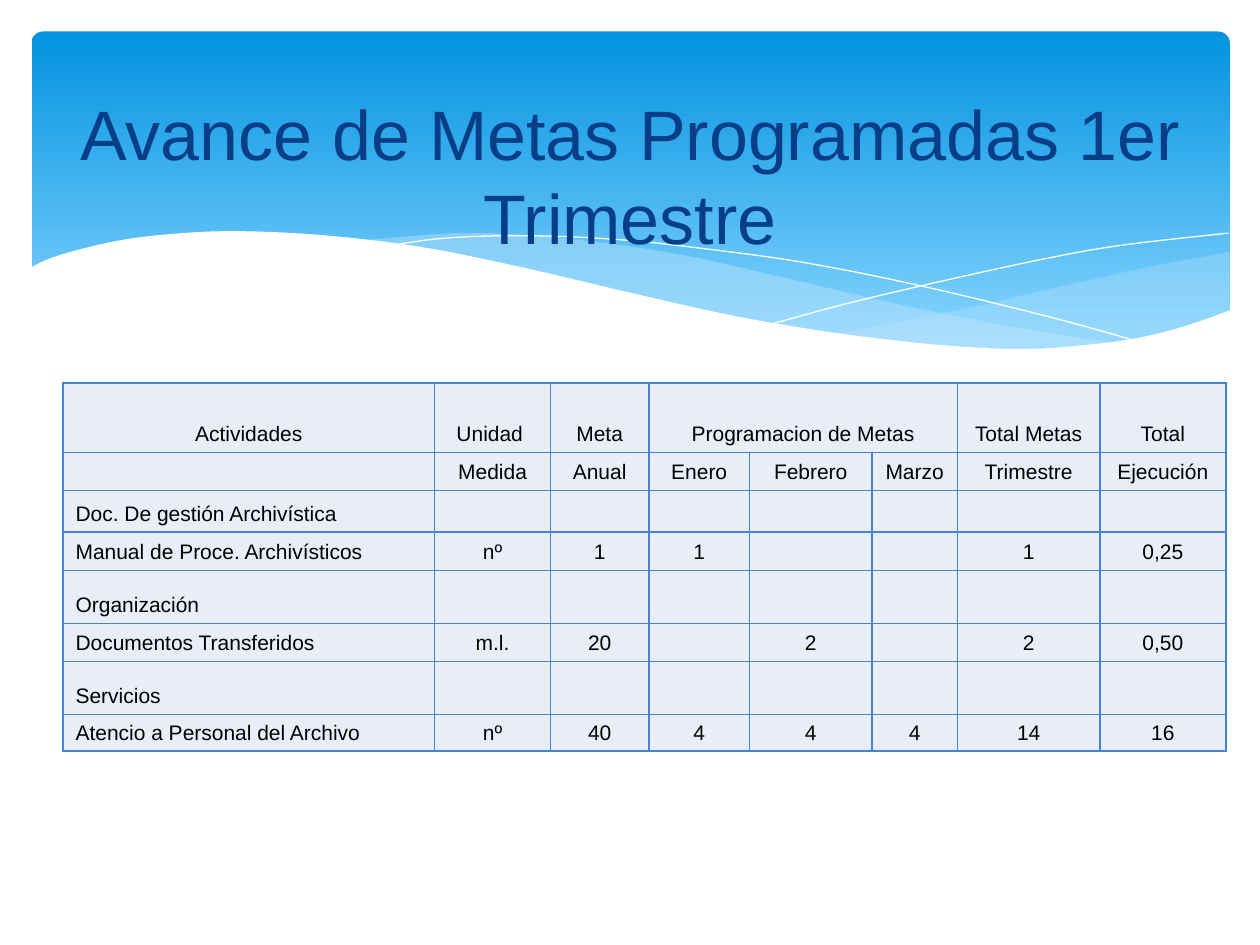
import pptx
import pptx.dml.color
import pptx.enum.shapes
import pptx.enum.text
import pptx.oxml
import pptx.oxml.ns
import pptx.util
import lxml.etree
from dataclasses import dataclass

qn = pptx.oxml.ns.qn
ALIGN = pptx.enum.text.PP_ALIGN
ANCHOR = pptx.enum.text.MSO_ANCHOR


@dataclass(frozen=True)
class Theme:
    font: str = "Arial"
    title_size: int = 40
    table_size: int = 12
    title: str = "073E87"
    text: str = "000000"
    sky_top: str = "0293E0"
    sky_bottom: str = "83D3FE"
    wave: str = "C6E7FC"
    white: str = "FFFFFF"
    cell: str = "E9EDF7"
    border: str = "4584D3"


def inch(value):
    return pptx.util.Cm(2.54 * value)


def rgb(value):
    return pptx.dml.color.RGBColor.from_string(value)


def smooth(knots, steps=6):
    """Sample a Catmull-Rom curve through the knots."""
    padded = [knots[0], *knots, knots[-1]]
    points = [knots[0]]
    for a, b, c, d in zip(padded, padded[1:], padded[2:], padded[3:]):
        for t in (step / steps for step in range(1, steps + 1)):
            points.append(tuple(
                q + t * (r - p) / 2 + t * t * (2 * p - 5 * q + 4 * r - s) / 2
                + t ** 3 * (3 * q - p - 3 * r + s) / 2
                for p, q, r, s in zip(a, b, c, d)))
    return points


class SlideBuilder:
    def __init__(self, slide, theme):
        self.slide, self.theme = slide, theme

    def banner(self, left, top, width, height, rounding):
        shape = self.slide.shapes.add_shape(
            pptx.enum.shapes.MSO_SHAPE.ROUNDED_RECTANGLE,
            *map(inch, (left, top, width, height)))
        shape.adjustments[0] = rounding
        shape.shadow.inherit = False
        shape.line.fill.background()
        shape.fill.gradient()
        shape.fill.gradient_angle = 270
        colours = (self.theme.sky_top, self.theme.sky_bottom)
        for stop, colour, position in zip(shape.fill.gradient_stops, colours, (0, 0.9)):
            stop.color.rgb = rgb(colour)
            stop.position = position

    def outline(self, points, fill=None, opacity=100, line=None):
        first, *rest = [(inch(x), inch(y)) for x, y in points]
        builder = self.slide.shapes.build_freeform(*first, scale=1.0)
        builder.add_line_segments(rest, close=fill is not None)
        shape = builder.convert_to_shape()
        shape.shadow.inherit = False
        if fill:
            shape.fill.solid()
            shape.fill.fore_color.rgb = rgb(fill)
            colour = shape._element.spPr.find(".//" + qn("a:srgbClr"))
            lxml.etree.SubElement(colour, qn("a:alpha"), val=str(opacity * 1000))
        else:
            shape.fill.background()
        if line:
            shape.line.color.rgb = rgb(line)
            shape.line.width = pptx.util.Pt(0)
        else:
            shape.line.fill.background()

    def style(self, paragraph, size, colour, align):
        paragraph.alignment = align
        for run in paragraph.runs:
            run.font.name = self.theme.font
            run.font.size = pptx.util.Pt(size)
            run.font.color.rgb = rgb(colour)

    def heading(self, text, left, top, width, height):
        frame = self.slide.shapes.add_textbox(
            *map(inch, (left, top, width, height))).text_frame
        frame.word_wrap = True
        frame.vertical_anchor = ANCHOR.MIDDLE
        frame.text = text
        self.style(frame.paragraphs[0], self.theme.title_size, self.theme.title, ALIGN.CENTER)

    def cell(self, cell, text, align):
        cell.fill.solid()
        cell.fill.fore_color.rgb = rgb(self.theme.cell)
        cell.vertical_anchor = ANCHOR.BOTTOM
        cell.text_frame.text = text
        paragraph = cell.text_frame.paragraphs[0]
        self.style(paragraph, self.theme.table_size, self.theme.text, align)
        # Hanging indent, and the type size that empty cells keep
        properties = paragraph._p.get_or_add_pPr()
        properties.set("marL", str(inch(0.38)))
        properties.set("indent", str(-inch(0.38)))
        lxml.etree.SubElement(paragraph._p, qn("a:endParaRPr"),
                              sz=str(self.theme.table_size * 100))
        # Borders come before the fill in the cell properties
        for index, side in enumerate("LRTB"):
            border = lxml.etree.Element(qn("a:ln" + side), w=str(pptx.util.Pt(1)))
            solid = lxml.etree.SubElement(border, qn("a:solidFill"))
            lxml.etree.SubElement(solid, qn("a:srgbClr"), val=self.theme.border)
            cell._tc.get_or_add_tcPr().insert(index, border)

    def table(self, rows, left, top, widths, heights, merges):
        table = self.slide.shapes.add_table(
            len(heights), len(widths),
            *map(inch, (left, top, sum(widths), sum(heights)))).table
        for column, width in zip(table.columns, widths):
            column.width = inch(width)
        for row, height in zip(table.rows, heights):
            row.height = inch(height)
        for r, texts in enumerate(rows):
            for c, text in enumerate(texts):
                is_label = c == 0 and r > 1
                self.cell(table.cell(r, c), text, ALIGN.LEFT if is_label else ALIGN.CENTER)
        for start, end in merges:
            table.cell(*start).merge(table.cell(*end))


theme = Theme()
deck = pptx.Presentation()
deck.slide_width, deck.slide_height = inch(10), inch(7.5)
page = SlideBuilder(deck.slides.add_slide(deck.slide_layouts[6]), theme)

# Sky banner
page.banner(0.25, 0.25, 9.51, 2.7, 0.034)

# Translucent waves
right_wave = smooth([(9.76, 2), (9.21, 2.1), (8.61, 2.23), (7.79, 2.42), (7.06, 2.57), (6.61, 2.65)])
right_wave += smooth([(6.61, 2.65), (7.05, 2.71), (7.57, 2.76), (8.03, 2.78), (8.54, 2.76),
                      (8.97, 2.7), (9.35, 2.62), (9.76, 2.47)])
page.outline(right_wave, theme.wave, 29)

middle_wave = smooth([(8.93, 2.73), (8.37, 2.65), (7.75, 2.54), (7.06, 2.4), (6.29, 2.22),
                      (5.55, 2.05), (4.89, 1.94), (4.2, 1.87), (3.61, 1.85), (2.86, 1.91)])
middle_wave += smooth([(2.86, 1.91), (3.42, 1.99), (4.04, 2.11), (4.91, 2.32), (5.66, 2.48),
                       (6.34, 2.61), (6.95, 2.7), (7.48, 2.76), (8.07, 2.78), (8.57, 2.77), (8.93, 2.73)])
page.outline(middle_wave, theme.wave, 40)

# Crossing hairlines
falling_line = [(3.09, 1.95), (3.53, 1.89), (4.16, 1.87), (4.89, 1.9), (5.56, 1.97), (6.36, 2.08),
                (7.27, 2.26), (8.31, 2.51), (9.07, 2.72)]
rising_line = [(6.13, 2.57), (6.72, 2.41), (7.48, 2.23), (8.36, 2.04), (8.95, 1.94), (9.75, 1.85)]
for hairline in (falling_line, rising_line):
    page.outline(smooth(hairline), line=theme.white)

# White ground under the waves
ground = smooth([(9.77, 2.46), (9.4, 2.59), (8.99, 2.69), (8.5, 2.75), (8.09, 2.77), (7.61, 2.75),
                 (7.08, 2.7), (6.48, 2.62), (5.79, 2.5), (5.03, 2.33), (4.18, 2.13), (3.4, 1.97),
                 (2.71, 1.88), (2.11, 1.84), (1.61, 1.84), (1.06, 1.89), (0.67, 1.97), (0.4, 2.05),
                 (0.23, 2.13)])
page.outline(ground + [(0.23, 3.29), (9.77, 3.29)], theme.white)

# Table of goals
goals = [
    ("Actividades", "Unidad ", "Meta", "Programacion de Metas", "", "", "Total Metas", "Total"),
    ("", "Medida", "Anual", "Enero", "Febrero", "Marzo", "Trimestre", "Ejecución"),
    ("Doc. De gestión Archivística",) + ("",) * 7,
    ("Manual de Proce. Archivísticos", "nº", "1", "1", "", "", "1", "0,25"),
    ("Organización",) + ("",) * 7,
    ("Documentos Transferidos", "m.l.", "20", "", "2", "", "2", "0,50"),
    ("Servicios",) + ("",) * 7,
    ("Atencio a Personal del Archivo", "nº", "40", "4", "4", "4", "14", "16"),
]
page.table(goals, 0.5, 3.04,
           widths=[2.95, 0.92, 0.78, 0.8, 0.97, 0.68, 1.13, 1],
           heights=[0.55, 0.29, 0.33, 0.29, 0.42, 0.29, 0.42, 0.29],
           merges=[((0, 3), (0, 5))])

# Title
page.heading("Avance de Metas Programadas 1er Trimestre", 0.5, 0.76, 9, 1.25)

deck.save("out.pptx")
